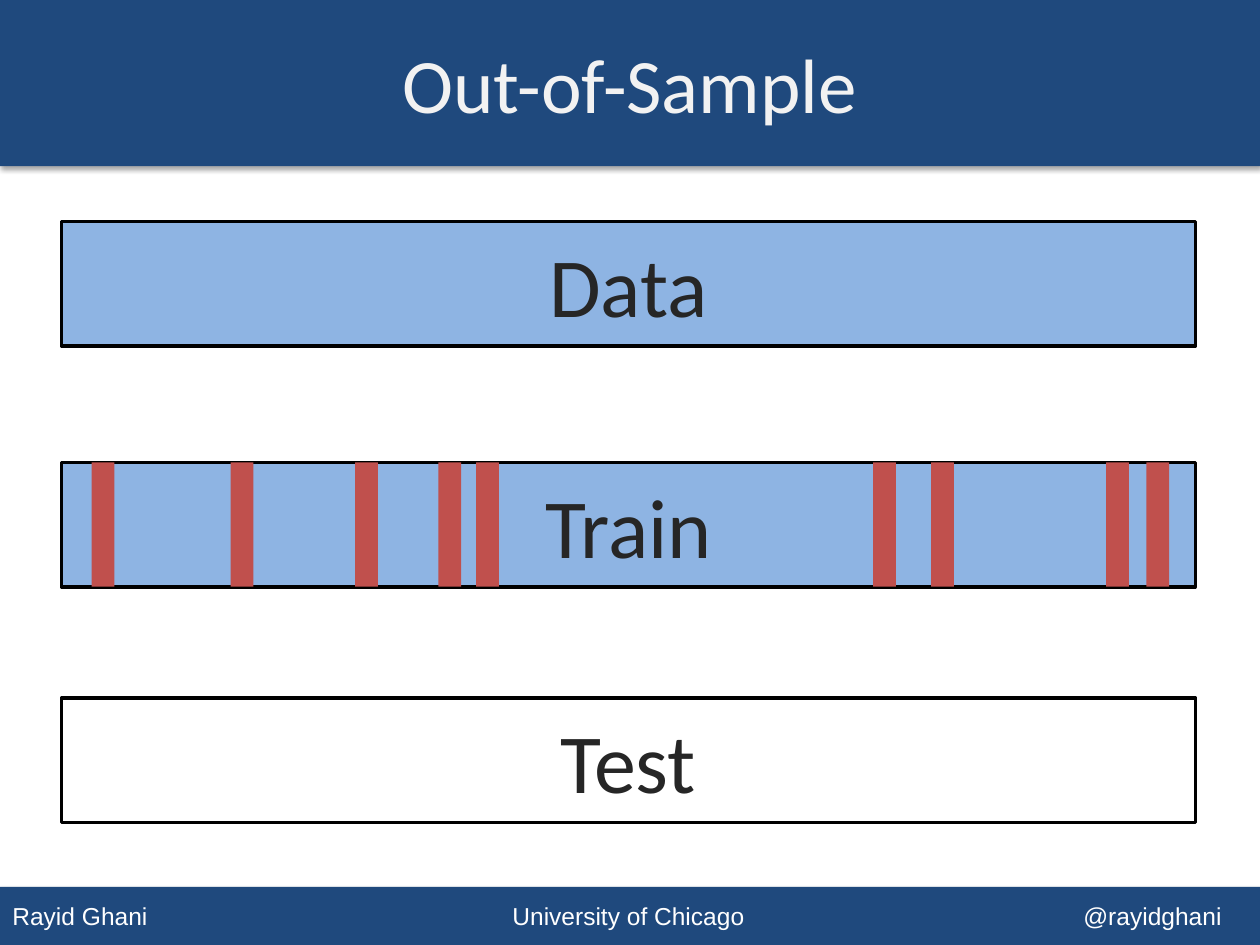
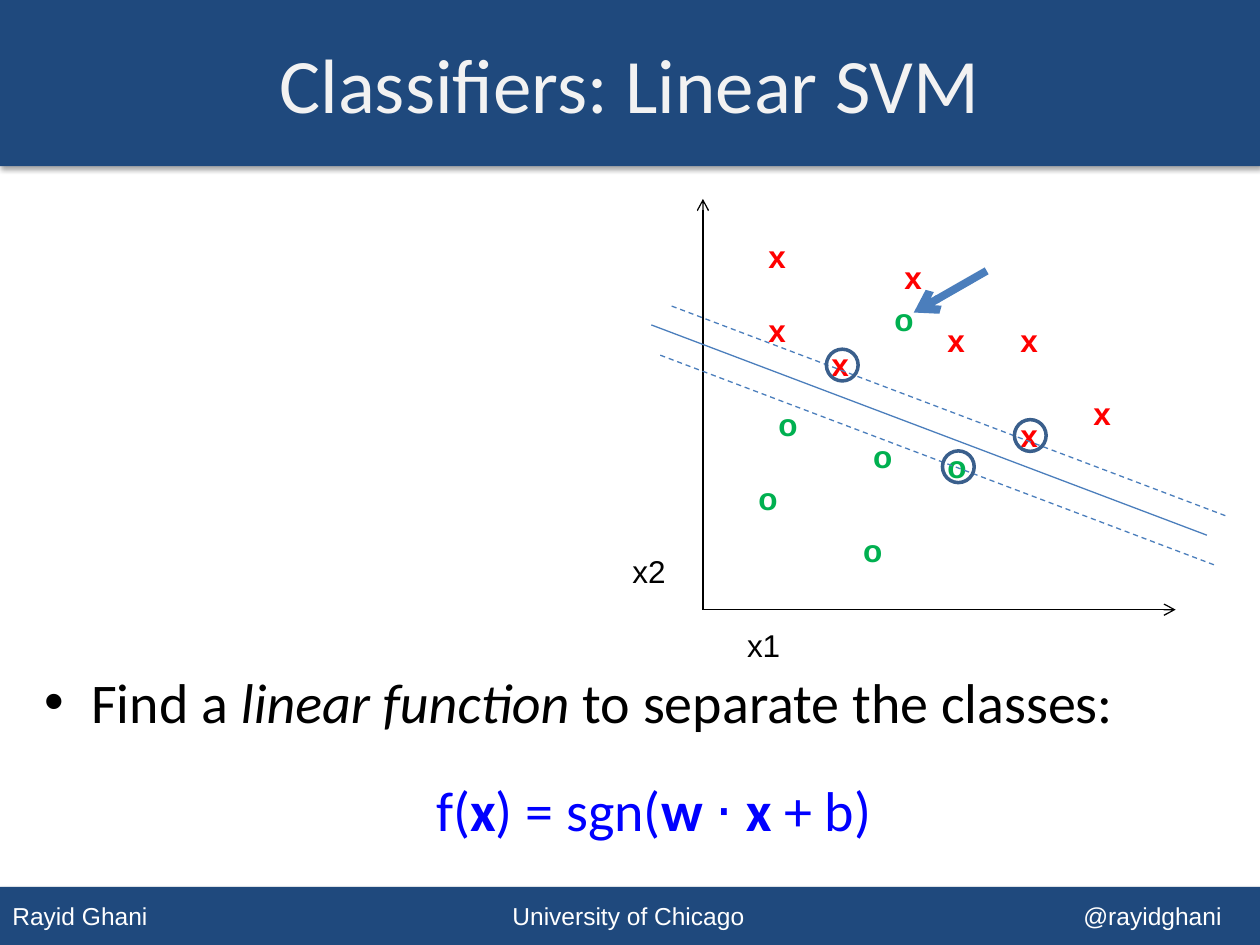
from lxml.etree import SubElement
from pptx import Presentation
from pptx.dml.color import RGBColor
from pptx.enum.dml import MSO_LINE as DASH
from pptx.enum.shapes import MSO_CONNECTOR as CONN, MSO_SHAPE as SHAPE
from pptx.enum.text import MSO_ANCHOR as ANCHOR, PP_ALIGN as ALIGN
from pptx.oxml.ns import qn
from pptx.util import Cm, Pt

NAVY, WHITE, BLACK = "1F497D", "FFFFFF", "000000"
LIGHT_BLUE, RED_STRIPE, LINE_BLUE, RING_BLUE = "8EB4E3", "C0504D", "4B7EBC", "3A5F8C"
WIDTH, HEIGHT = 25.4, 19.05


def rgb(value):
    return RGBColor.from_string(value)


def add_xml(parent, tag, **attrs):
    return SubElement(parent, qn(tag), {k: str(v) for k, v in attrs.items()})


class Deck:
    heading = {"name": "Calibri", "size": 44, "color": "F2F2F2"}
    footer = {"name": "Arial", "size": 14, "color": WHITE}
    label = {"name": "Calibri", "size": 48, "color": "262626"}
    mark = {"name": "Arial", "size": 18, "color": BLACK}
    body = {"name": "Calibri", "size": 32, "color": BLACK}

    def __init__(self):
        self.prs = Presentation()
        self.prs.slide_width, self.prs.slide_height = Cm(WIDTH), Cm(HEIGHT)
        self.slide = None

    def new_slide(self, title):
        self.slide = self.prs.slides.add_slide(self.prs.slide_layouts[6])
        s = self.band(17.88, 1.17)
        s.text_frame.vertical_anchor = ANCHOR.MIDDLE
        p = s.text_frame.paragraphs[0]
        p.alignment = ALIGN.LEFT
        tabs = add_xml(p._p.get_or_add_pPr(), "a:tabLst")
        for stop in (10.08, 21.59):
            add_xml(tabs, "a:tab", pos=Cm(stop), algn="l")
        self.run(p, "Rayid Ghani\tUniversity of Chicago\t@rayidghani", self.footer)
        self.band(0, 3.35)
        tf = self.text_box(0, 0.08, WIDTH, 3.18, True)
        tf.vertical_anchor = ANCHOR.MIDDLE
        tf.paragraphs[0].alignment = ALIGN.CENTER
        self.run(tf.paragraphs[0], title, self.heading)

    def run(self, p, text, style, **changes):
        r = p.add_run()
        r.text = text
        for key, value in {**style, **changes}.items():
            if key == "color":
                r.font.color.rgb = rgb(value)
            else:
                setattr(r.font, key, Pt(value) if key == "size" else value)

    def shape(self, kind, x, y, w, h, fill=None, line=None):
        s = self.slide.shapes.add_shape(kind, Cm(x), Cm(y), Cm(w), Cm(h))
        s.shadow.inherit = False
        if fill:
            s.fill.solid()
            s.fill.fore_color.rgb = rgb(fill)
        else:
            s.fill.background()
        if line:
            s.line.color.rgb = rgb(line)
            s.line.width = Pt(2)
        else:
            s.line.fill.background()
        return s

    def band(self, y, h):
        s = self.shape(SHAPE.RECTANGLE, 0, y, WIDTH, h, NAVY)
        effects = s._element.spPr.find(qn("a:effectLst"))
        shadow = add_xml(effects, "a:outerShdw", blurRad=Pt(3.1), dist=Pt(1.8),
                         dir=5400000, rotWithShape=0)
        add_xml(add_xml(shadow, "a:srgbClr", val=BLACK), "a:alpha", val=35000)
        return s

    def bar(self, text, y, fill):
        s = self.shape(SHAPE.RECTANGLE, 1.24, y, 22.86, 2.51, fill, BLACK)
        s.text_frame.vertical_anchor = ANCHOR.MIDDLE
        p = s.text_frame.paragraphs[0]
        p.alignment = ALIGN.CENTER
        self.run(p, text, self.label)

    def text_box(self, x, y, w, h, wrap):
        s = self.slide.shapes.add_textbox(Cm(x), Cm(y), Cm(w), Cm(h))
        s.text_frame.word_wrap = wrap
        return s.text_frame

    def note(self, text, x, y, w, **changes):
        tf = self.text_box(x, y, w, 1.02, False)
        self.run(tf.paragraphs[0], text, self.mark, **changes)

    def line(self, x1, y1, x2, y2, color, width=0.75, dash=None, arrow=False):
        c = self.slide.shapes.add_connector(CONN.STRAIGHT, Cm(x1), Cm(y1), Cm(x2), Cm(y2))
        c.line.color.rgb = rgb(color)
        c.line.width = Pt(width)
        if dash:
            c.line.dash_style = dash
        if arrow:
            add_xml(c.line._get_or_add_ln(), "a:tailEnd", type="arrow")
        add_xml(c._element.spPr, "a:effectLst")


def out_of_sample(deck):
    deck.new_slide("Out-of-Sample")
    for text, y, fill in (("Data", 4.47, LIGHT_BLUE), ("Train", 9.32, LIGHT_BLUE),
                          ("Test", 14.07, WHITE)):
        deck.bar(text, y, fill)
    for x in (1.85, 4.65, 7.16, 8.84, 9.6, 17.6, 18.77, 22.3, 23.11):
        deck.shape(SHAPE.RECTANGLE, x, 9.32, 0.46, 2.51, RED_STRIPE)


def linear_svm(deck):
    deck.new_slide("Classifiers: Linear SVM")
    crosses = ((18.85, 6.35), (20.32, 6.35), (20.32, 8.26), (21.79, 7.82),
               (15.24, 4.65), (15.24, 6.15), (17.98, 5.08), (16.51, 6.83))
    rounds = ((17.78, 5.92), (18.85, 8.89), (15.04, 9.53), (15.44, 8.05),
              (17.15, 10.59), (17.35, 8.69))
    for sign, color, w, points in (("x", "FF0000", 0.86, crosses),
                                   ("o", "00B050", 0.91, rounds)):
        for x, y in points:
            deck.note(sign, x, y, w, color=color, bold=True)

    origin = (14.17, 12.29)
    for end in ((14.17, 4.01), (23.7, 12.29)):
        deck.line(*origin, *end, BLACK, arrow=True)
    deck.note("x2", 12.5, 11, 1.19)
    deck.note("x1", 14.81, 12.5, 1.19)

    for x, y, dash in ((13.13, 6.55, None), (13.54, 6.17, DASH.DASH),
                       (13.31, 7.16, DASH.DASH)):
        deck.line(x, y, x + 11.2, y + 4.24, LINE_BLUE, dash=dash)
    for x, y in ((16.66, 7.04), (20.45, 8.46), (19, 9.09)):
        deck.shape(SHAPE.OVAL, x, y, 0.64, 0.64, line=RING_BLUE)
    deck.line(19.89, 5.46, 18.42, 6.3, LINE_BLUE, width=4.5, arrow=True)

    tf = deck.text_box(0.64, 13.34, 24.13, 3.68, True)
    p = tf.paragraphs[0]
    pPr = p._p.get_or_add_pPr()
    pPr.set("marL", str(Cm(0.95)))
    pPr.set("indent", str(Cm(-0.95)))
    add_xml(pPr, "a:buFont", typeface="Arial")
    add_xml(pPr, "a:buChar", char="•")
    deck.run(p, "Find a ", deck.body)
    deck.run(p, "linear function ", deck.body, italic=True)
    deck.run(p, "to separate the classes:", deck.body)

    p = tf.add_paragraph()
    p.alignment = ALIGN.CENTER
    p.space_before = Pt(23)
    p._p.get_or_add_pPr().set("marL", str(Cm(0.95)))
    for text, bold in (("f(", False), ("x", True), (") = sgn(", False), ("w ", True),
                       ("⋅ ", False), ("x ", True), ("+ b)", False)):
        deck.run(p, text, deck.body, color="0000FF", bold=bold)


def main():
    deck = Deck()
    out_of_sample(deck)
    linear_svm(deck)
    deck.prs.save("out.pptx")


if __name__ == "__main__":
    main()
